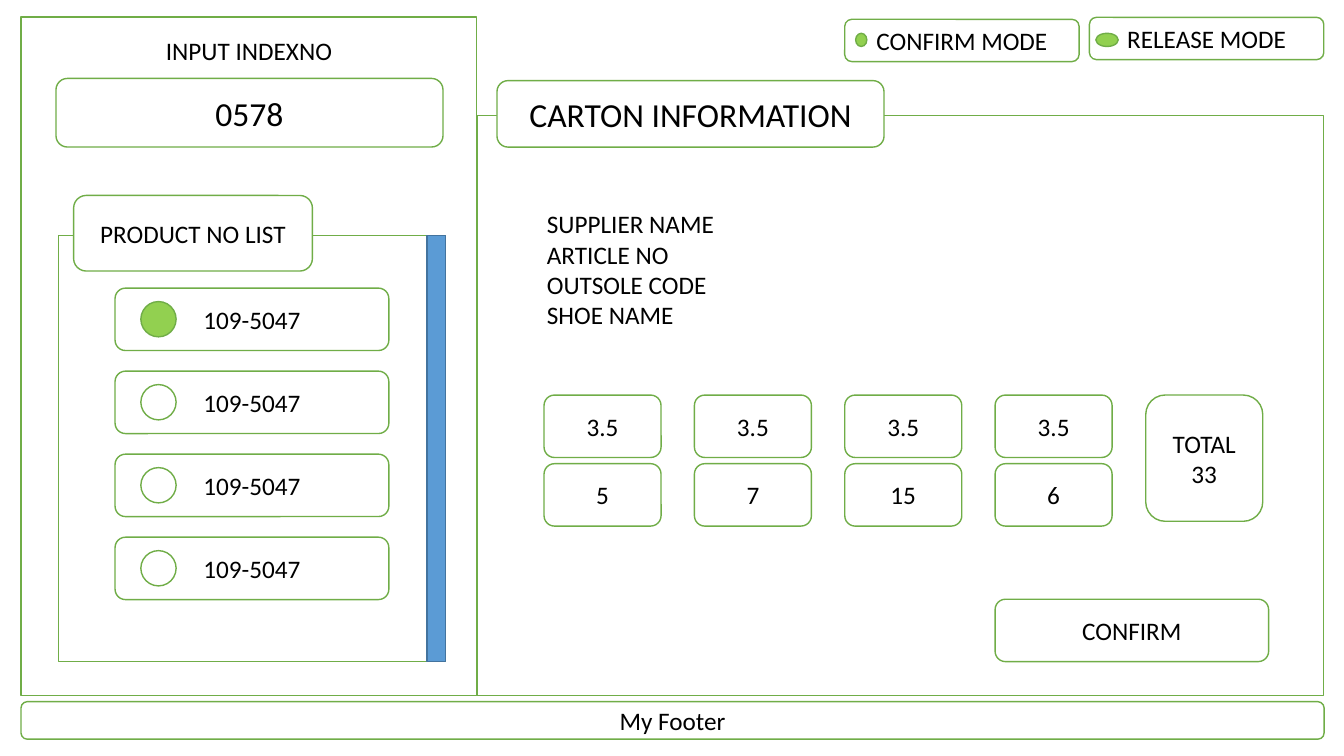
from dataclasses import dataclass

from pptx import Presentation
from pptx.dml.color import RGBColor
from pptx.enum.shapes import MSO_SHAPE
from pptx.enum.text import MSO_ANCHOR, PP_ALIGN
from pptx.util import Pt


@dataclass(frozen=True)
class Theme:
    font: str = "Calibri"
    heading: int = 24
    label: int = 18
    text: str = "000000"
    surface: str = "FFFFFF"
    outline: str = "70AD47"
    active: str = "92D050"
    scrollbar: str = "5B9BD5"
    scrollbar_outline: str = "43739E"


theme = Theme()
presentation = Presentation()
presentation.slide_width = Pt(960)
presentation.slide_height = Pt(540)
slide = presentation.slides.add_slide(presentation.slide_layouts[6])


def add_box(kind, left, top, width, height, fill=theme.surface, line=theme.outline):
    shape = slide.shapes.add_shape(kind, Pt(left), Pt(top), Pt(width), Pt(height))
    shape.shadow.inherit = False
    if fill:
        shape.fill.solid()
        shape.fill.fore_color.rgb = RGBColor.from_string(fill)
    else:
        shape.fill.background()
    if line:
        shape.line.color.rgb = RGBColor.from_string(line)
        shape.line.width = Pt(1)
    else:
        shape.line.fill.background()
    return shape


def write(shape, lines, size=theme.label, alignment=PP_ALIGN.CENTER):
    frame = shape.text_frame
    frame.word_wrap = True
    frame.vertical_anchor = MSO_ANCHOR.MIDDLE
    frame.text = "\n".join(lines)
    for paragraph in frame.paragraphs:
        paragraph.alignment = alignment
        paragraph.font.name = theme.font
        paragraph.font.size = Pt(size)
        paragraph.font.color.rgb = RGBColor.from_string(theme.text)


rectangle = MSO_SHAPE.RECTANGLE
rounded = MSO_SHAPE.ROUNDED_RECTANGLE
circle = MSO_SHAPE.FLOWCHART_CONNECTOR

# Index number input
add_box(rectangle, 15, 12.2, 325.6, 484.8)
write(add_box(rounded, 40, 56, 276.5, 49), ["0578"], theme.heading)
write(add_box(rectangle, 50.4, 24, 255, 24, line=None), ["INPUT INDEXNO"])

# Carton information
add_box(rectangle, 340.6, 82.6, 605, 414.4)
write(add_box(rounded, 355, 57.6, 276.5, 47.5), ["CARTON INFORMATION"], theme.heading)
carton_fields = ["SUPPLIER NAME", "ARTICLE NO", "OUTSOLE CODE", "SHOE NAME"]
write(add_box(rectangle, 383.6, 132.8, 520, 118.8, line=None), carton_fields,
      alignment=PP_ALIGN.LEFT)

# Sizes above their quantities, then the total
quantities = [5, 7, 15, 6]
size_rows = [["3.5"] * len(quantities), [str(quantity) for quantity in quantities]]
for row, values in enumerate(size_rows):
    for column, value in enumerate(values):
        cell = add_box(rounded, 388.6 + 107.4 * column, 282.2 + 49 * row, 83.6, 44.6)
        write(cell, [value])
write(add_box(rounded, 818.4, 282.2, 83.6, 90.2), ["TOTAL", str(sum(quantities))])
write(add_box(rounded, 710.8, 428, 195.4, 44.6), ["CONFIRM"])

# Product list with its scrollbar
add_box(rectangle, 41.8, 168, 276.5, 304.4)
write(add_box(rounded, 52.6, 139.6, 170.6, 54), ["PRODUCT NO LIST"])
for row in range(4):
    top = 205.8 + 59.3 * row
    write(add_box(rounded, 82.2, top, 195.6, 44.6), ["109-5047"])
    add_box(circle, 100.6, top + 9.6, 25.2, 25.2, theme.active if row == 0 else None)
add_box(rectangle, 305, 168, 13.3, 304.4, theme.scrollbar, theme.scrollbar_outline)

# Footer
write(add_box(rounded, 15, 501.2, 930.8, 26.8), ["My Footer"])

# Mode buttons: label, left, top, light left, light width
modes = [
    ("CONFIRM MODE", 603.4, 13.8, 611.2, 8),
    ("RELEASE MODE", 778.2, 12.4, 782.8, 16),
]
for label, left, top, light_left, light_width in modes:
    write(add_box(rounded, left, top, 167.4, 30.2), [label])
    add_box(circle, light_left, 23.8, light_width, 9.4, theme.active)

presentation.save("out.pptx")
